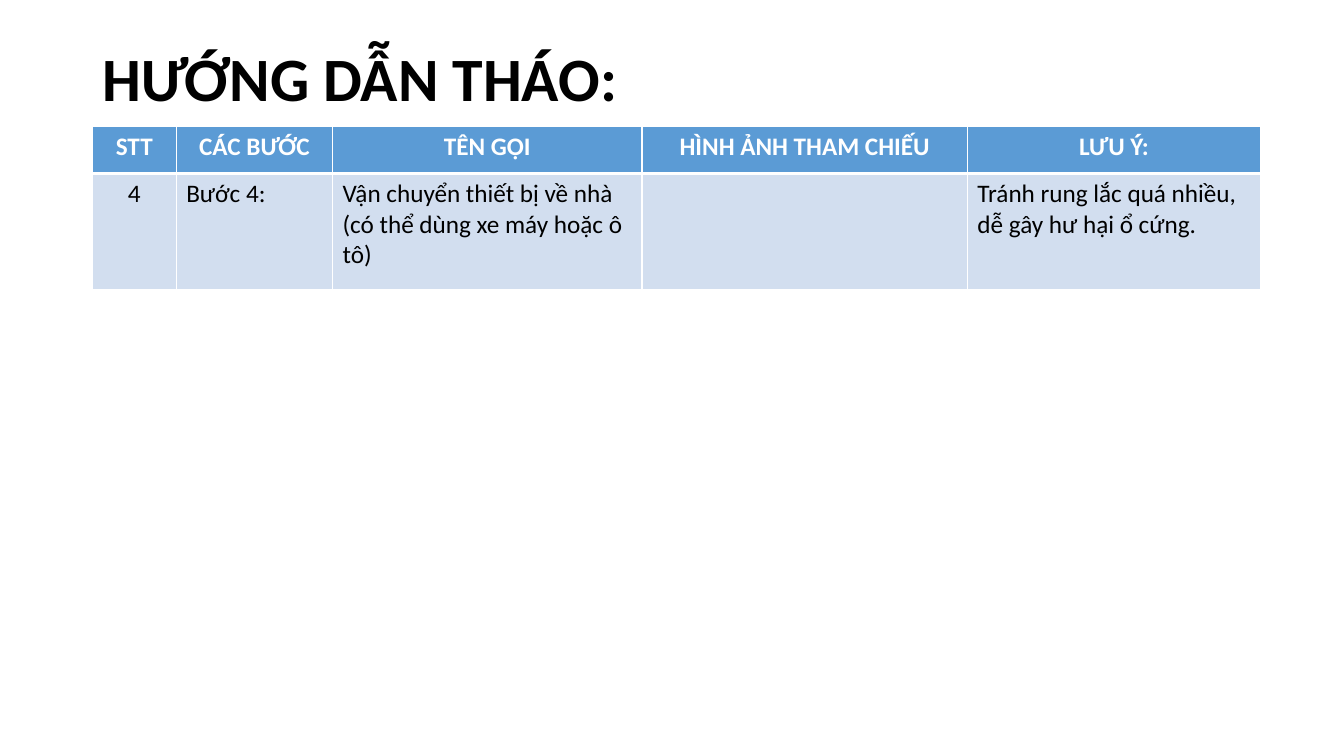
"""Build the disassembly guide slide with its step table."""
import dataclasses

import lxml.etree
import pptx
import pptx.dml.color
import pptx.enum.text
import pptx.oxml.ns
import pptx.util

Cm = pptx.util.Cm
Pt = pptx.util.Pt
Align = pptx.enum.text.PP_ALIGN

TITLE = "HƯỚNG DẪN THÁO:"
ROWS = [
    ("STT", "CÁC BƯỚC", "TÊN GỌI", "HÌNH ẢNH THAM CHIẾU", "LƯU Ý:"),
    (
        "4",
        "Bước 4:",
        "Vận chuyển thiết bị về nhà (có thể dùng xe máy hoặc ô tô)",
        "",
        "Tránh rung lắc quá nhiều, dễ gây hư hại ổ cứng.",
    ),
]
COLUMN_WIDTHS = (2.11, 3.94, 7.8, 8.2, 7.39)
ROW_HEIGHTS = (1.19, 2.92)
LEFT = 2.33
TITLE_TOP, TITLE_WIDTH, TITLE_HEIGHT = 1.02, 29.21, 2.08
TABLE_TOP = 3.18


@dataclasses.dataclass(frozen=True)
class Theme:
    """Colours, font and type sizes of the slide."""

    font: str = "Calibri"
    title_size: int = 44
    table_size: int = 18
    black: str = "000000"
    white: str = "FFFFFF"
    header_fill: str = "5B9BD5"
    body_fill: str = "D2DEEF"
    thin_border: int = 1
    thick_border: int = 3


THEME = Theme()


def style_paragraph(paragraph, size, colour, bold, alignment):
    """Set the font and alignment of one paragraph."""
    paragraph.alignment = alignment
    font = paragraph.font
    font.name = THEME.font
    font.size = Pt(size)
    font.bold = bold
    font.color.rgb = pptx.dml.color.RGBColor.from_string(colour)


def set_borders(cell, top, bottom):
    """Draw white borders on the four sides of a cell."""
    properties = cell._tc.get_or_add_tcPr()
    sides = {"L": THEME.thin_border, "R": THEME.thin_border, "T": top, "B": bottom}
    qn = pptx.oxml.ns.qn
    for side, width in sides.items():
        line = lxml.etree.SubElement(properties, qn(f"a:ln{side}"), w=str(Pt(width)))
        fill = lxml.etree.SubElement(line, qn("a:solidFill"))
        lxml.etree.SubElement(fill, qn("a:srgbClr"), val=THEME.white)


def add_title(slide):
    """Place and format the title."""
    title = slide.shapes.title
    title.left, title.top = Cm(LEFT), Cm(TITLE_TOP)
    title.width, title.height = Cm(TITLE_WIDTH), Cm(TITLE_HEIGHT)
    frame = title.text_frame
    frame.text = TITLE
    frame.word_wrap = True
    frame.auto_size = pptx.enum.text.MSO_AUTO_SIZE.NONE
    frame.vertical_anchor = pptx.enum.text.MSO_ANCHOR.MIDDLE
    paragraph = frame.paragraphs[0]
    paragraph.line_spacing = 0.9
    style_paragraph(paragraph, THEME.title_size, THEME.black, True, Align.LEFT)


def add_step_table(slide):
    """Add the table of steps."""
    table = slide.shapes.add_table(
        len(ROWS), len(COLUMN_WIDTHS), Cm(LEFT), Cm(TABLE_TOP),
        Cm(sum(COLUMN_WIDTHS)), Cm(sum(ROW_HEIGHTS)),
    ).table
    for column, width in zip(table.columns, COLUMN_WIDTHS):
        column.width = Cm(width)
    for row, height in zip(table.rows, ROW_HEIGHTS):
        row.height = Cm(height)
    for row_index, texts in enumerate(ROWS):
        header = row_index == 0
        top, bottom = THEME.thin_border, THEME.thick_border
        if not header:
            top, bottom = bottom, top
        fill_colour = THEME.header_fill if header else THEME.body_fill
        text_colour = THEME.white if header else THEME.black
        for column_index, text in enumerate(texts):
            cell = table.cell(row_index, column_index)
            set_borders(cell, top, bottom)
            cell.fill.solid()
            cell.fill.fore_color.rgb = pptx.dml.color.RGBColor.from_string(fill_colour)
            cell.text = text
            centred = header or column_index == 0
            style_paragraph(
                cell.text_frame.paragraphs[0], THEME.table_size, text_colour,
                header, Align.CENTER if centred else Align.LEFT,
            )


def main():
    """Create and save the presentation."""
    presentation = pptx.Presentation()
    presentation.slide_width, presentation.slide_height = Cm(33.87), Cm(19.05)
    slide = presentation.slides.add_slide(presentation.slide_layouts[5])
    add_title(slide)
    add_step_table(slide)
    presentation.save("out.pptx")


if __name__ == "__main__":
    main()
